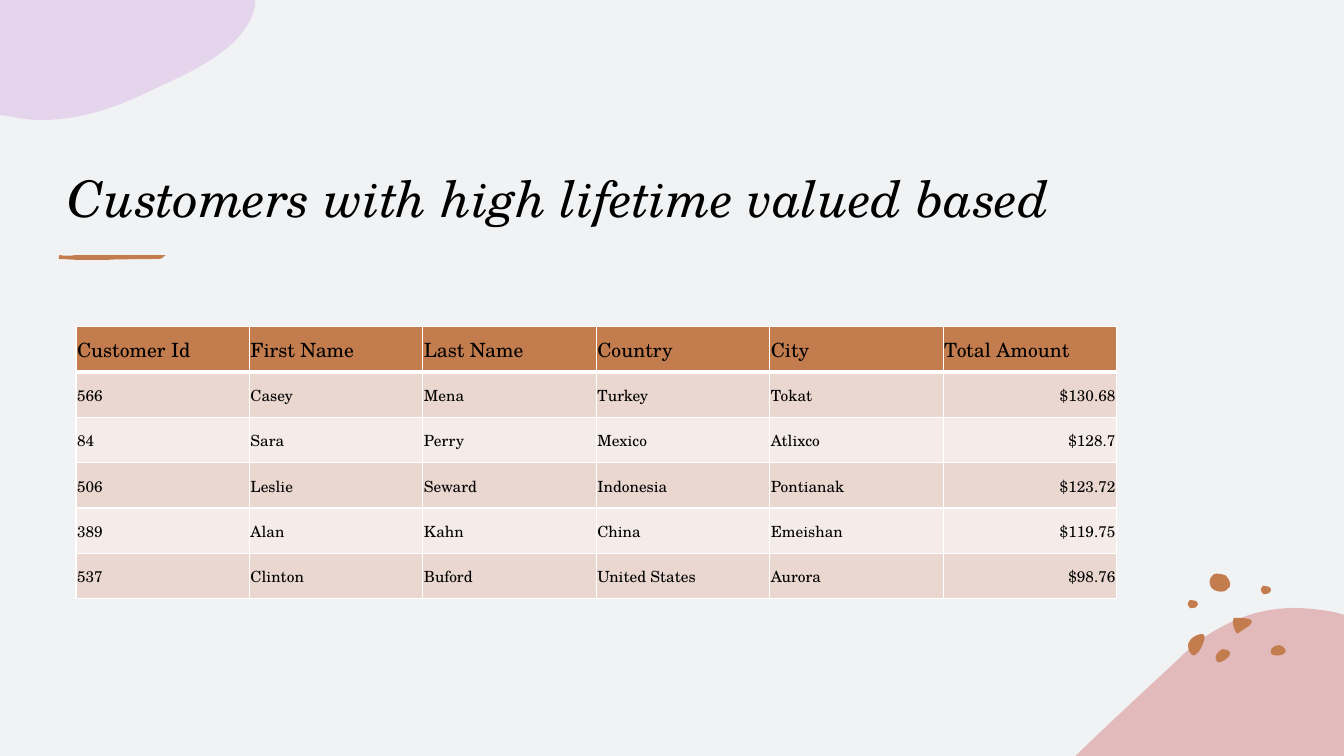
from lxml.etree import SubElement
from pptx import Presentation
from pptx.dml.color import RGBColor
from pptx.enum.text import MSO_ANCHOR, PP_ALIGN
from pptx.oxml import parse_xml
from pptx.oxml.ns import nsdecls, qn
from pptx.util import Pt

THEME = {
    "font": "TeX Gyre Schola",
    "paper": "F0F2F3", "ink": "000000", "rule": "FFFFFF",
    "copper": "C37C4D", "rose": "D68485", "lilac": "DAB8E7",
    "bands": ("E9D7D0", "F5ECE9"),
    "title_size": 36, "header_size": 14, "body_size": 11,
}

TITLE = "Customers with high lifetime valued based"
HEADERS = ("Customer Id", "First Name", "Last Name", "Country", "City", "Total Amount")
CUSTOMERS = [
    ("566", "Casey", "Mena", "Turkey", "Tokat", "$130.68"),
    ("84", "Sara", "Perry", "Mexico", "Atlixco", "$128.7"),
    ("506", "Leslie", "Seward", "Indonesia", "Pontianak", "$123.72"),
    ("389", "Alan", "Kahn", "China", "Emeishan", "$119.75"),
    ("537", "Clinton", "Buford", "United States", "Aurora", "$98.76"),
]

# Outlines in points: a pair is a corner, six numbers are a Bézier curve.
ROSE_HILL = [
    (927.4, 434.2), (936.7, 434.9, 946.1, 435.6, 955.4, 437.8), (960, 439.2),
    (960, 540), (768.2, 540), (769, 539.3),
    (793.4, 515.5, 818.6, 492.5, 841.7, 470.9),
    (857.5, 455, 874, 445.7, 890.6, 439.9),
    (902.9, 435.6, 915.1, 434.2, 927.4, 434.2),
]
LILAC_CLOUD = [
    (0, 0), (182.2, 0), (182.2, 4.3), (176.4, 31.7, 144, 48.2, 113.8, 61.9),
    (88.6, 74.2, 61.9, 85.7, 29.5, 85.7), (22.3, 85.7, 15.8, 85, 9.4, 83.5),
    (0, 82.1),
]
TITLE_STROKE = [
    (61.9, 185.6), (77, 185.6), (82.8, 185.3), (113, 185),
    (117.4, 185, 115.9, 182.9, 118.1, 182.2), (79.9, 182.3), (54, 182.2),
    (50.4, 182.9, 46.1, 182.9, 42.5, 182.2),
    (41.8, 182.9, 41, 185.8, 43.9, 185), (54, 185.6),
]
STROKE_SPECK = [(0, 0), (0.3, 0, 0.5, 0.1, 0.7, 0.2), (0.5, 0.2, 0.2, 0.2, 0, 0)]
STROKE_SPECK_SHIFTS = [(41.8, 185), (43.2, 185), (117.4, 182.2)]
SMALL_PEBBLE = [
    (900.7, 421.9), (900.7, 421.9, 900.7, 419, 902.2, 418.3),
    (903.6, 418.3, 904.3, 418.3, 905.8, 419),
    (906.5, 419, 907.9, 419.8, 907.9, 421.2),
    (907.9, 421.9, 907.2, 423.4, 906.5, 423.4),
    (906.5, 423.4, 906.5, 424.1, 905, 424.1),
    (904.3, 424.1, 902.9, 424.8, 902.2, 424.1),
    (901.4, 422.6, 900.7, 422.6, 900.7, 421.9),
]
SMALL_PEBBLE_SHIFTS = [(0, 0), (-52.2, 10.1)]
PEBBLES = [
    [(873.4, 463.7), (874.8, 463.7, 875.5, 463.7, 877, 464.4),
     (878.4, 465.1, 879.1, 466.6, 878.4, 468),
     (877, 470.2, 872.6, 473.8, 869.8, 473),
     (869, 472.3, 868.3, 470.9, 868.3, 469.4),
     (868.3, 468, 869.8, 465.8, 871.2, 465.1),
     (871.9, 464.4, 872.6, 463.7, 873.4, 463.7)],
    [(857.5, 452.9), (859, 452.9, 860.4, 452.9, 860.4, 454.3),
     (860.4, 455, 860.4, 455, 860.4, 455.8),
     (859.7, 459.4, 858.2, 463, 856.1, 465.8),
     (854.6, 467.3, 852.5, 469.4, 851, 467.3),
     (848.9, 465.1, 848.2, 461.5, 848.9, 459.4),
     (849.6, 457.2, 851, 456.5, 852.5, 455),
     (853.2, 455, 855.4, 452.9, 857.5, 452.9)],
    [(913.7, 460.8), (915.1, 460.8, 917.3, 462.2, 918, 463.7),
     (918.7, 465.1, 918.7, 466.6, 916.6, 467.3),
     (914.4, 468.7, 908.6, 468.7, 907.9, 466.6),
     (907.2, 465.1, 907.9, 463.7, 908.6, 463),
     (910.1, 461.5, 911.5, 460.8, 913.7, 460.8)],
    [(864.7, 418.3), (864, 418.3, 863.3, 414, 865.4, 411.8),
     (866.9, 410.4, 866.9, 409.7, 869, 409.7),
     (871.2, 409.7, 874.1, 410.4, 875.5, 411.1),
     (877, 412.6, 879.8, 416.2, 878.4, 419),
     (876.2, 421.2, 875.5, 422.6, 872.6, 422.6),
     (870.5, 422.6, 866.9, 421.9, 866.2, 420.5),
     (864.7, 419.8, 864.7, 419, 864.7, 418.3)],
    [(884.2, 441.4), (888.5, 441.4, 896.4, 441.4, 893.5, 445.7),
     (893.5, 446.4, 892.8, 447.1, 892.1, 447.1),
     (889.9, 448.6, 887.8, 450, 885.6, 451.4),
     (884.9, 452.2, 884.2, 452.9, 883.4, 452.2),
     (883.4, 452.2, 882.7, 451.4, 882.7, 451.4),
     (881.3, 448.6, 880.6, 446.4, 880.6, 443.5),
     (880.6, 442.8, 880.6, 442.1, 881.3, 441.4)],
]

TITLE_BOX = (41.4, 61.9, 793.4, 104.4)
TABLE_LEFT, TABLE_TOP = 54.3, 233.3
COLUMN_WIDTH, ROW_HEIGHT = 123.9, 32.4
HEADER_BORDERS = {"lnL": 1, "lnR": 1, "lnT": 1, "lnB": 3}


def colour(name):
    return RGBColor.from_string(THEME.get(name, name))


def add_blob(slide, outline, fill, shift=(0, 0), opacity=100):
    """Draw an outline of corners and Bézier curves."""
    dx, dy = shift
    segments = [[(Pt(x + dx), Pt(y + dy)) for x, y in zip(part[::2], part[1::2])]
                for part in outline]
    builder = slide.shapes.build_freeform(*segments[0][0])
    builder.add_line_segments([segment[-1] for segment in segments[1:]], close=True)
    blob = builder.convert_to_shape()
    edges = list(blob._element.iter(qn("a:lnTo")))
    for edge, segment in zip(edges, segments[1:]):
        if len(segment) == 3:
            bend(edge, segment, blob.left, blob.top)
    blob.shadow.inherit = False
    blob.line.fill.background()
    blob.fill.solid()
    blob.fill.fore_color.rgb = colour(fill)
    if opacity < 100:
        tint = blob.fill._xPr.find(qn("a:solidFill"))[0]
        SubElement(tint, qn("a:alpha")).set("val", str(opacity * 1000))


def bend(edge, controls, left, top):
    """Replace a straight edge with a cubic curve."""
    points = "".join(f'<a:pt x="{x - left}" y="{y - top}"/>' for x, y in controls)
    curve = parse_xml(f'<a:cubicBezTo {nsdecls("a")}>{points}</a:cubicBezTo>')
    edge.getparent().replace(edge, curve)


def add_run(paragraph, text, size, italic=False):
    run = paragraph.add_run()
    run.text = text
    run.font.name = THEME["font"]
    run.font.size = Pt(THEME[size])
    run.font.bold = False
    run.font.italic = italic
    run.font.color.rgb = colour("ink")


def add_title(slide):
    title = slide.shapes.add_textbox(*map(Pt, TITLE_BOX))
    title.text_frame.word_wrap = True
    title.text_frame.vertical_anchor = MSO_ANCHOR.BOTTOM
    add_run(title.text_frame.paragraphs[0], TITLE, "title_size", italic=True)


def set_header_borders(cell):
    for position, (side, width) in enumerate(HEADER_BORDERS.items()):
        cell._tc.get_or_add_tcPr().insert(position, parse_xml(
            f'<a:{side} {nsdecls("a")} w="{Pt(width)}"><a:solidFill>'
            f'<a:srgbClr val="{THEME["rule"]}"/></a:solidFill></a:{side}>'))


def add_customer_table(slide):
    lines = [HEADERS, *CUSTOMERS]
    table = slide.shapes.add_table(
        len(lines), len(HEADERS), Pt(TABLE_LEFT), Pt(TABLE_TOP),
        Pt(COLUMN_WIDTH * len(HEADERS)), Pt(ROW_HEIGHT * len(lines))).table
    for column in table.columns:
        column.width = Pt(COLUMN_WIDTH)
    for row, line in enumerate(lines):
        table.rows[row].height = Pt(ROW_HEIGHT)
        band = THEME["bands"][(row - 1) % 2] if row else "copper"
        for column, text in enumerate(line):
            cell = table.cell(row, column)
            cell.margin_left = cell.margin_right = cell.margin_top = Pt(0.75)
            cell.margin_bottom = Pt(0)
            cell.vertical_anchor = MSO_ANCHOR.MIDDLE
            cell.fill.solid()
            cell.fill.fore_color.rgb = colour(band)
            if row == 0:
                set_header_borders(cell)
            paragraph = cell.text_frame.paragraphs[0]
            is_amount = row > 0 and column == len(HEADERS) - 1
            paragraph.alignment = PP_ALIGN.RIGHT if is_amount else PP_ALIGN.LEFT
            add_run(paragraph, text, "body_size" if row else "header_size")


def main():
    deck = Presentation()
    deck.slide_width, deck.slide_height = Pt(960), Pt(540)
    slide = deck.slides.add_slide(deck.slide_layouts[6])
    slide.background.fill.solid()
    slide.background.fill.fore_color.rgb = colour("paper")
    add_blob(slide, ROSE_HILL, "rose", opacity=50)
    for pebble in PEBBLES:
        add_blob(slide, pebble, "copper")
    for shift in SMALL_PEBBLE_SHIFTS:
        add_blob(slide, SMALL_PEBBLE, "copper", shift)
    add_blob(slide, LILAC_CLOUD, "lilac", opacity=50)
    for shift in STROKE_SPECK_SHIFTS:
        add_blob(slide, STROKE_SPECK, "copper", shift)
    add_blob(slide, TITLE_STROKE, "copper")
    add_title(slide)
    add_customer_table(slide)
    deck.save("out.pptx")


if __name__ == "__main__":
    main()
